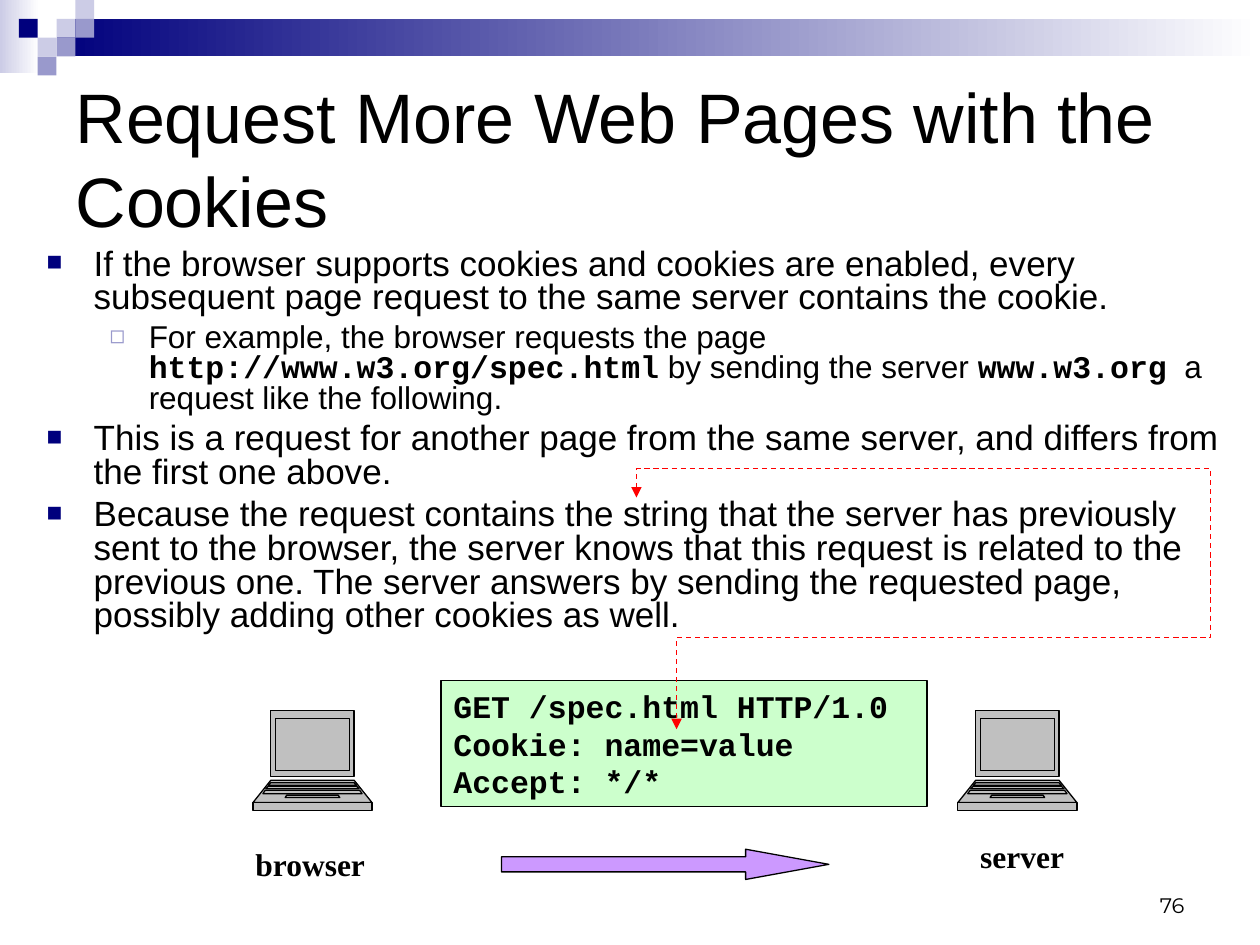
import copy

import pptx
import pptx.dml.color
import pptx.enum.dml
import pptx.enum.shapes
import pptx.enum.text
import pptx.oxml
import pptx.oxml.ns
import pptx.util

Cm = pptx.util.Cm
Pt = pptx.util.Pt
qn = pptx.oxml.ns.qn
RGB = pptx.dml.color.RGBColor.from_string
SHAPE = pptx.enum.shapes.MSO_SHAPE
ALIGN = pptx.enum.text.PP_ALIGN
ANCHOR = pptx.enum.text.MSO_ANCHOR
COLORS = {
    "text": "000000", "white": "FFFFFF", "navy": "00007D",
    "lilac": "9999CC", "pale": "CCCCE6", "code": "CCFFCC",
    "laptop": "C0C0C0", "arrow": "CC99FF", "link": "FF0000",
}


def add_run(p, text, size, font="Arial", bold=False):
    r = p.add_run()
    r.text = text
    r.font.size = Pt(size)
    r.font.name = font
    r.font.bold = bold
    r.font.color.rgb = RGB(COLORS["text"])


def style(sp, fill, line=None):
    sp.shadow.inherit = False
    if fill:
        sp.fill.solid()
        sp.fill.fore_color.rgb = RGB(COLORS[fill])
    else:
        sp.fill.background()
    if line:
        sp.line.color.rgb = RGB(COLORS[line])
        sp.line.width = Pt(0.75)
    else:
        sp.line.fill.background()


prs = pptx.Presentation()
prs.slide_width = Cm(25.4)
prs.slide_height = Cm(19.05)
s = prs.slides.add_slide(prs.slide_layouts[5])

for x, y, w, h, start in [(0, 0, 0.79, 1.47, "pale"), (1.14, 0.38, 24.26, 0.76, "navy")]:
    sp = s.shapes.add_shape(SHAPE.RECTANGLE, Cm(x), Cm(y), Cm(w), Cm(h))
    style(sp, start)
    sp.fill.gradient()
    sp.fill.gradient_angle = 0
    for stop, position, color in zip(sp.fill.gradient_stops, (0, 1), (start, "white")):
        stop.position = position
        stop.color.rgb = RGB(COLORS[color])

unit = 0.38
for col, row, color in [(3, 1, "pale"), (4, 0, "pale"), (4, 1, "lilac"), (2, 2, "pale"),
                        (1, 1, "navy"), (3, 2, "lilac"), (2, 3, "lilac")]:
    sp = s.shapes.add_shape(SHAPE.RECTANGLE, Cm(col * unit), Cm(row * unit), Cm(unit), Cm(unit))
    style(sp, color)

title = s.shapes.title
title.left, title.top, title.width, title.height = Cm(1.27), Cm(1.27), Cm(22.86), Cm(3.81)
tf = title.text_frame
tf.auto_size = pptx.enum.text.MSO_AUTO_SIZE.NONE
tf.vertical_anchor = ANCHOR.MIDDLE
p = tf.paragraphs[0]
p.alignment = ALIGN.LEFT
add_run(p, "Request More Web Pages with the Cookies", 40)

body = [
    (0, [("If the browser supports cookies and cookies are enabled, every subsequent page request to the same server contains the cookie.", False)]),
    (1, [("For example, the browser requests the page ", False),
         ("http://www.w3.org/spec.html", True),
         (" by sending the server ", False),
         ("www.w3.org", True),
         ("  a request like the following.", False)]),
    (0, [("This is a request for another page from the same server, and differs from the first one above.", False)]),
    (0, [("Because the request contains the string that the server has previously sent to the browser, the server knows that this request is related to the previous one. The server answers by sending the requested page, possibly adding other cookies as well.", False)]),
]
levels = [
    (20, 5, 0.95, -0.95, "■", "navy", 75),
    (18, 4.5, 2.06, -0.79, "◻", "lilac", 80),
]
tf = s.shapes.add_textbox(Cm(0.69), Cm(4.9), Cm(24.41), Cm(8.41)).text_frame
tf.word_wrap = True
for i, (level, runs) in enumerate(body):
    size, before, margin, indent, char, color, percent = levels[level]
    p = tf.add_paragraph() if i else tf.paragraphs[0]
    p.level = level
    p.line_spacing = 0.8
    p.space_before = Pt(before)
    pPr = p._p.get_or_add_pPr()
    pPr.set("marL", str(Cm(margin)))
    pPr.set("indent", str(Cm(indent)))
    clr = pptx.oxml.parse_xml(
        '<a:buClr xmlns:a="http://schemas.openxmlformats.org/drawingml/2006/main">'
        f'<a:srgbClr val="{COLORS[color]}"/></a:buClr>')
    pPr.append(clr)
    for tag, key, value in [("a:buSzPct", "val", str(percent * 1000)),
                            ("a:buFont", "typeface", "Arial"),
                            ("a:buChar", "char", char)]:
        pPr.makeelement(qn(tag), {key: value})
        pPr.append(pPr.makeelement(qn(tag), {key: value}))
    for text, code in runs:
        add_run(p, text, size, "Courier New" if code else "Arial", code)

sp = s.shapes.add_shape(SHAPE.RECTANGLE, Cm(8.89), Cm(13.72), Cm(9.8), Cm(2.54))
style(sp, "code", "text")
tf = sp.text_frame
tf.vertical_anchor = ANCHOR.TOP
p = tf.paragraphs[0]
p.alignment = ALIGN.LEFT
p.space_before = Pt(4.5)
for i, line in enumerate(["GET /spec.html HTTP/1.0", "Cookie: name=value", "Accept: */*"]):
    if i:
        p.add_line_break()
    add_run(p, line, 18, "Courier New", True)

laptop_parts = [
    (0.84, 0.84, 0, 1.32), (0.84, 1.2, 1.4, 1.85), (1.2, 1.2, 1.85, 2.01),
    (0.75, 0.75, 0.15, 1.2), (0.84, 0.89, 1.45, 1.5), (0.52, 0.55, 1.7, 1.75),
    (0.89, 0.94, 1.52, 1.57), (0.95, 1, 1.6, 1.67),
]
laptop_top = 14.33
for center in (6.3, 20.51):
    builder = None
    for upper, lower, y1, y2 in laptop_parts:
        points = [(Cm(center + dx), Cm(laptop_top + y))
                  for dx, y in [(-upper, y1), (-lower, y2), (lower, y2), (upper, y1)]]
        if builder is None:
            builder = s.shapes.build_freeform(*points[0])
        else:
            builder.move_to(*points[0])
        builder.add_line_segments(points[1:], close=True)
    sp = builder.convert_to_shape()
    style(sp, "laptop", "text")
    outline = sp.element.find(".//" + qn("a:path"))
    steps = list(outline)
    per_part = len(steps) // len(laptop_parts)
    for i in range(per_part, len(steps), per_part):
        part = copy.deepcopy(outline)
        for child in list(part):
            part.remove(child)
        part.extend(steps[i:i + per_part])
        outline.getparent().append(part)

for text, x, y in [("browser", 4.9, 16.92), ("server", 19.51, 16.74)]:
    tf = s.shapes.add_textbox(Cm(x), Cm(y), Cm(2.79), Cm(1.02)).text_frame
    tf.word_wrap = True
    p = tf.paragraphs[0]
    p.space_before = Pt(11.2)
    add_run(p, text, 18, "Times New Roman", True)

sp = s.shapes.add_shape(SHAPE.RIGHT_ARROW, Cm(10.11), Cm(17.12), Cm(6.6), Cm(0.61))
sp.adjustments[0] = 0.5
sp.adjustments[1] = 2.75
style(sp, "arrow", "text")

route = [(12.83, 10.03), (12.83, 9.45), (24.41, 9.45), (24.41, 12.85), (13.64, 12.85), (13.64, 14.7)]
points = [(Cm(x), Cm(y)) for x, y in route]
builder = s.shapes.build_freeform(*points[0])
builder.add_line_segments(points[1:], close=False)
sp = builder.convert_to_shape()
style(sp, None, "link")
sp.line.dash_style = pptx.enum.dml.MSO_LINE.DASH
ln = sp.element.spPr.find(qn("a:ln"))
for tag in ("a:headEnd", "a:tailEnd"):
    ln.append(ln.makeelement(qn(tag), {"type": "triangle"}))

tf = s.shapes.add_textbox(Cm(18.21), Cm(17.35), Cm(5.92), Cm(1.27)).text_frame
tf.word_wrap = True
tf.vertical_anchor = ANCHOR.BOTTOM
p = tf.paragraphs[0]
p.alignment = ALIGN.RIGHT
add_run(p, "76", 12, "Montserrat")

prs.save("out.pptx")
